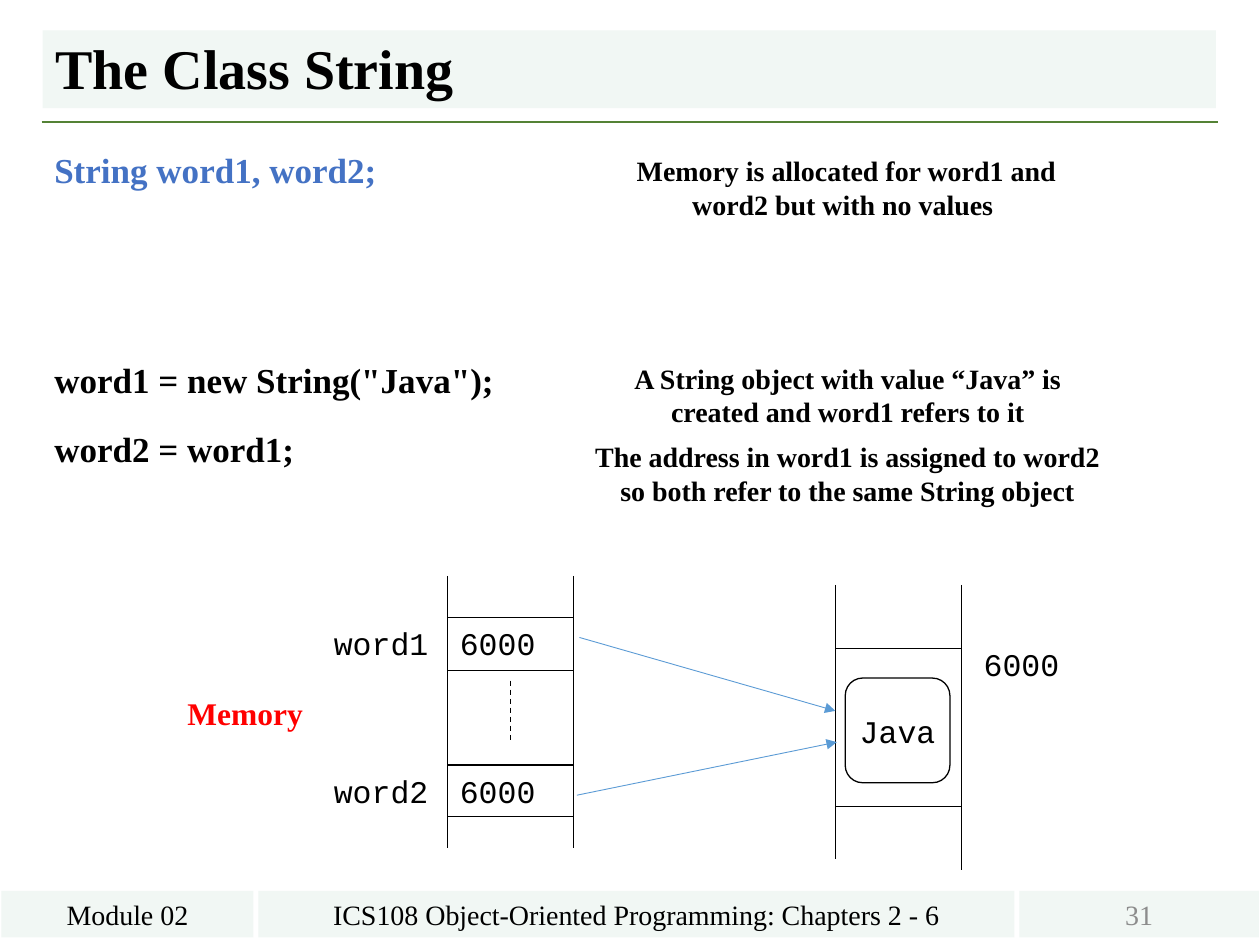
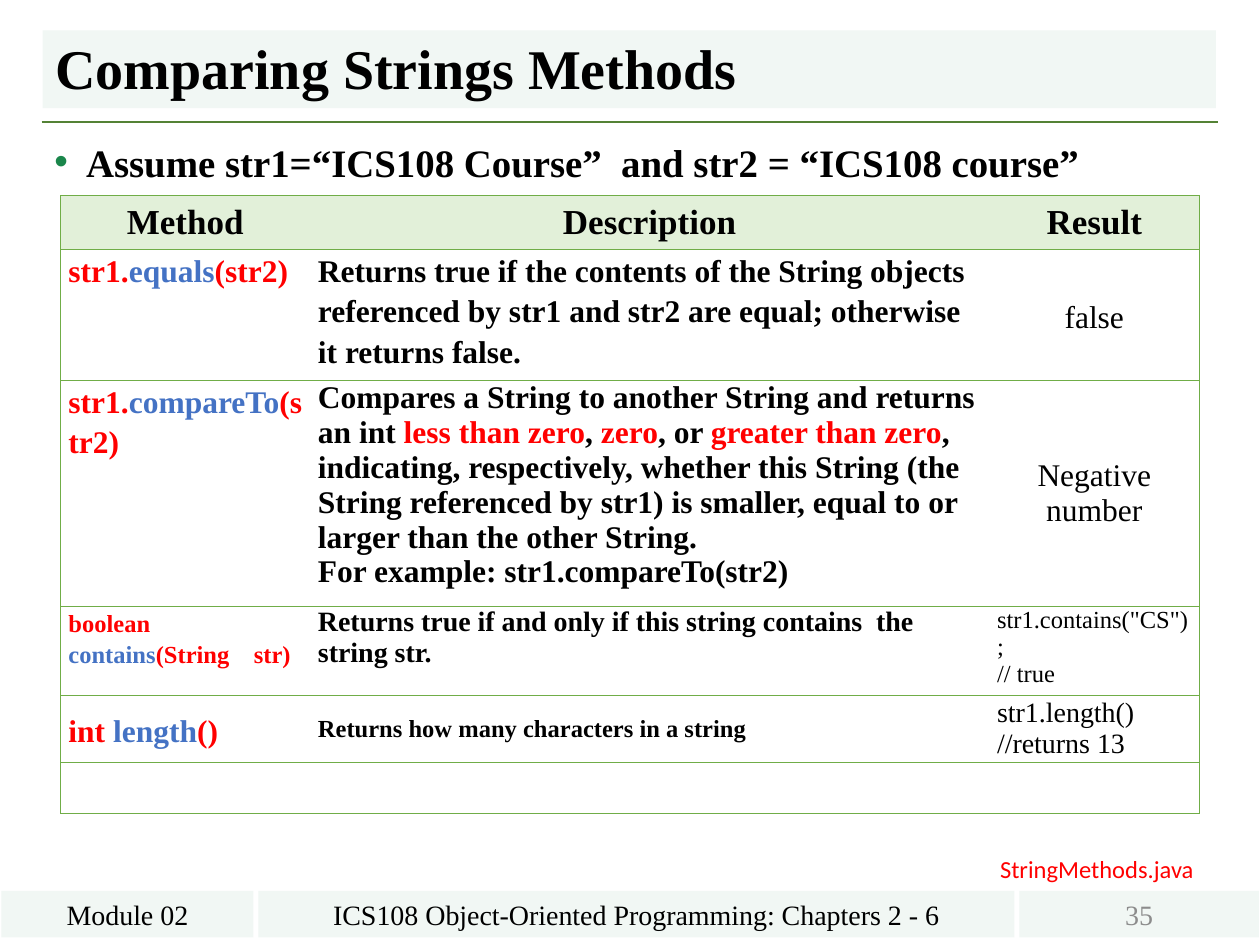
"""Build two lecture slides about Java strings."""
import pptx
import pptx.dml.color
import pptx.enum.dml
import pptx.enum.shapes
import pptx.enum.text
import pptx.oxml.ns
import pptx.util
from lxml import etree
from pptx.util import Cm, Pt

SERIF, MONO, SANS = "Times New Roman", "Courier New", "Calibri"
BLACK, WHITE, RED, BLUE = "000000", "FFFFFF", "FF0000", "4472C4"
BAND, RULE, ARROW, PAGE_GREY = "F1F7F4", "548235", "5B9BD5", "8C8C8C"
GRID, HEADER, BULLET = "70AD47", "E2F0D9", "1A864B"
LEFT, CENTER = pptx.enum.text.PP_ALIGN.LEFT, pptx.enum.text.PP_ALIGN.CENTER
TOP = pptx.enum.text.MSO_ANCHOR.TOP
MIDDLE = pptx.enum.text.MSO_ANCHOR.MIDDLE
BOTTOM = pptx.enum.text.MSO_ANCHOR.BOTTOM
SHAPES = pptx.enum.shapes.MSO_SHAPE


def rgb(hex_color):
    return pptx.dml.color.RGBColor.from_string(hex_color)


def add_xml(parent, tag, **attributes):
    return etree.SubElement(parent, pptx.oxml.ns.qn(tag), attributes)


def set_bullet(paragraph, bullet):
    properties = paragraph._p.get_or_add_pPr()
    indent = Cm(0.64) if bullet else 0
    properties.set("marL", str(indent))
    properties.set("indent", str(-indent))
    if bullet:
        add_xml(add_xml(properties, "a:buClr"), "a:srgbClr", val=BULLET)
        add_xml(properties, "a:buChar", char=bullet)
    else:
        add_xml(properties, "a:buNone")


def write_text(frame, lines, size=18, color=BLACK, font=SERIF, bold=False, align=LEFT,
               anchor=TOP, wrap=True, spacing=1.0, gaps=(), after=0, bullet=""):
    """Write lines; each is a string or a list of (text, color) runs."""
    frame.word_wrap = wrap
    frame.vertical_anchor = anchor
    for index, line in enumerate(lines):
        paragraph = frame.paragraphs[0] if index == 0 else frame.add_paragraph()
        set_bullet(paragraph, bullet)
        paragraph.alignment = align
        paragraph.line_spacing = spacing
        paragraph.space_before = Pt(gaps[index] if gaps else 0)
        paragraph.space_after = Pt(after)
        runs = [(line, color)] if isinstance(line, str) else line
        for words, run_color in runs:
            run = paragraph.add_run()
            run.text = words
            run.font.size, run.font.name, run.font.bold = Pt(size), font, bold
            run.font.color.rgb = rgb(run_color)


def place(shape, left, top, width, height):
    shape.left, shape.top = Cm(left), Cm(top)
    shape.width, shape.height = Cm(width), Cm(height)


def fill_placeholder(placeholder, box, lines, **text_format):
    place(placeholder, *box)
    write_text(placeholder.text_frame, lines, bold=True, **text_format)
    placeholder.text_frame.auto_size = pptx.enum.text.MSO_AUTO_SIZE.NONE


def add_label(slide, box, text, **text_format):
    label = slide.shapes.add_textbox(*map(Cm, box))
    write_text(label.text_frame, [text], **text_format)


def add_box(slide, box, text, fill, line=None, kind=SHAPES.RECTANGLE, **text_format):
    shape = slide.shapes.add_shape(kind, *map(Cm, box))
    shape.shadow.inherit = False
    shape.fill.solid()
    shape.fill.fore_color.rgb = rgb(fill)
    if line:
        shape.line.color.rgb = rgb(line)
        shape.line.width = Pt(0.75)
    else:
        shape.line.fill.background()
    write_text(shape.text_frame, [text], align=CENTER, anchor=MIDDLE, **text_format)


def add_line(slide, start, end, color=BLACK, width=0.75, dashed=False, arrow=False):
    line = slide.shapes.add_connector(
        pptx.enum.shapes.MSO_CONNECTOR.STRAIGHT, *map(Cm, start + end))
    line.line.color.rgb = rgb(color)
    line.line.width = Pt(width)
    if dashed:
        line.line.dash_style = pptx.enum.dml.MSO_LINE.DASH
    if arrow:
        add_xml(line.line._get_or_add_ln(), "a:tailEnd", type="triangle")
    add_xml(line._element.spPr, "a:effectLst")


def add_slide(deck, title, number):
    slide = deck.slides.add_slide(deck.slide_layouts[1])
    heading = slide.shapes.title
    heading.fill.solid()
    heading.fill.fore_color.rgb = rgb(BAND)
    fill_placeholder(heading, (0.86, 0.61, 23.65, 1.57), [title],
                     size=32, anchor=BOTTOM, spacing=0.9)
    add_line(slide, (0.84, 2.46), (24.56, 2.46), RULE, 1.5)
    footers = (
        (0.03, 5.08, "Module 02", BLACK),
        (5.21, 15.24, "ICS108 Object-Oriented Programming: Chapters 2 - 6", BLACK),
        (20.55, 4.83, number, PAGE_GREY),
    )
    for left, width, text, color in footers:
        add_box(slide, (left, 17.96, width, 0.94), text, BAND, size=16, color=color)
    return slide


def add_memory_column(slide, left, top, bottoms, dividers):
    right = left + 2.54
    for x, bottom in zip((left, right), bottoms):
        add_line(slide, (x, top), (x, bottom))
    for y in dividers:
        add_line(slide, (left, y), (right, y))


def set_borders(cell, first, last):
    properties = cell._tc.get_or_add_tcPr()
    sides = (("a:lnL", first), ("a:lnR", last), ("a:lnT", True), ("a:lnB", True))
    for side, visible in sides:
        border = add_xml(properties, side, w=str(Pt(0.5)))
        if visible:
            add_xml(add_xml(border, "a:solidFill"), "a:srgbClr", val=GRID)
        else:
            add_xml(border, "a:noFill")


def add_methods_table(slide, rows, heights):
    widths = (5.03, 13.69, 4.24)
    frame = slide.shapes.add_table(len(heights), len(widths), Cm(1.22), Cm(3.94),
                                   Cm(sum(widths)), Cm(sum(heights)))
    table = frame.table
    table.first_row = table.horz_banding = False
    for column, width in zip(table.columns, widths):
        column.width = Cm(width)
    for row_index, height in enumerate(heights):
        table.rows[row_index].height = Cm(height)
        contents = rows[row_index] if row_index < len(rows) else ()
        for index in range(len(widths)):
            cell = table.cell(row_index, index)
            set_borders(cell, index == 0, index == len(widths) - 1)
            if row_index == 0:
                cell.fill.solid()
                cell.fill.fore_color.rgb = rgb(HEADER)
            else:
                cell.fill.background()
            if contents:
                lines, text_format = contents[index]
                anchor = text_format.get("anchor", TOP)
                write_text(cell.text_frame, lines, **text_format)
                cell.vertical_anchor = anchor
                if row_index:
                    cell.margin_left = cell.margin_right = Cm(0.16)
                    cell.margin_top = cell.margin_bottom = 0


def method_cell(prefix, name, arguments, **text_format):
    runs = [(prefix, RED), (name, BLUE), (arguments, RED)]
    return [runs], dict(bold=True, spacing=1.15, **text_format)


def build_string_class(deck):
    slide = add_slide(deck, "The Class String", "31")
    code = [[("String word1, word2;", BLUE)], 'word1 = new String("Java");', "word2 = word1;"]
    fill_placeholder(slide.placeholders[1], (0.84, 2.97, 11.73, 14.55), code,
                     size=20, spacing=0.9, gaps=(0, 98, 18))
    explanations = (
        ((11.89, 2.97, 10.34, 1.63),
         "Memory is allocated for word1 and word2 but with no values "),
        ((11.96, 7.16, 10.26, 1.63),
         "A String object with value “Java” is created and word1 refers to it"),
        ((11.56, 8.74, 11.05, 1.63),
         "The address in word1 is assigned to word2 so both refer to the same String object"),
    )
    for box, text in explanations:
        add_label(slide, box, text, size=16, bold=True, align=CENTER)

    add_memory_column(slide, 16.84, 11.79, (17.32, 17.53), (13.08, 16.26))
    add_memory_column(slide, 9.02, 11.61, (17.09, 17.09), (12.45, 13.51, 15.42, 16.46))
    add_line(slide, (10.29, 13.72), (10.29, 14.99), dashed=True)
    add_label(slide, (3.53, 13.87, 2.97, 1.02), "Memory", color=RED, bold=True)
    for variable, top in (("word1", 12.45), ("word2", 15.44)):
        add_label(slide, (6.48, top, 2.54, 1.02), variable, font=MONO)
        add_label(slide, (9.02, top, 2.34, 1.02), "6000", font=MONO)
    add_label(slide, (19.58, 12.88, 2.34, 1.02), "6000", font=MONO)
    add_box(slide, (17.04, 13.67, 2.11, 2.11), "Java", WHITE, line=BLACK,
            kind=SHAPES.ROUNDED_RECTANGLE, font=MONO, wrap=False)
    for start, end in (((11.68, 12.85), (16.84, 14.33)), ((11.63, 16.03), (16.87, 14.96))):
        add_line(slide, start, end, ARROW, 0.5, arrow=True)


def build_comparing_methods(deck):
    slide = add_slide(deck, "Comparing Strings Methods", "35")
    fill_placeholder(slide.placeholders[1], (0.84, 2.84, 23.72, 1.09),
                     ["Assume str1=“ICS108 Course”  and str2 = “ICS108 course”"],
                     size=22.2, spacing=0.8, bullet="•")
    header = dict(size=20, bold=True, align=CENTER, anchor=MIDDLE)
    result = dict(align=CENTER, anchor=MIDDLE)
    comparison = [
        ("Compares a String to another String and returns an int ", BLACK),
        ("less than zero", RED), (", ", BLACK), ("zero", RED), (", or ", BLACK),
        ("greater than zero", RED),
        (", indicating, respectively, whether this String (the String referenced by str1) "
         "is smaller, equal to or larger than the other String.", BLACK),
    ]
    rows = (
        [([name], header) for name in ("Method", "Description", "Result")],
        (method_cell("str1.", "equals", "(str2)", after=5),
         (["Returns true if the contents of the String objects referenced by str1 and str2 "
           "are equal; otherwise it returns false."], dict(bold=True, spacing=1.15, after=5)),
         (["false"], dict(result, spacing=1.15, after=5))),
        (method_cell("str1.", "compareTo", "(str2)", after=5),
         ([comparison, "For example: str1.compareTo(str2)"], dict(bold=True)),
         (["Negative number"], result)),
        (method_cell("boolean  ", "contains", "(String    str)", size=14),
         (["Returns true if and only if this string contains  the string str."],
          dict(size=16, bold=True)),
         (['str1.contains("CS");', "// true"], dict(size=14))),
        (method_cell("int ", "length", "()", anchor=MIDDLE),
         (["Returns how many characters in a string"],
          dict(size=14, bold=True, anchor=MIDDLE)),
         (["str1.length()", "//returns 13"], dict(size=16, anchor=MIDDLE))),
    )
    add_methods_table(slide, rows, (1.09, 2.64, 4.56, 1.79, 1.35, 1.03))
    add_label(slide, (19.91, 17.09, 4.47, 0.86), "StringMethods.java",
              size=14, color=RED, font=SANS, wrap=False)


def main():
    deck = pptx.Presentation()
    deck.slide_width, deck.slide_height = Cm(25.4), Cm(19.05)
    build_string_class(deck)
    build_comparing_methods(deck)
    deck.save("out.pptx")


if __name__ == "__main__":
    main()
